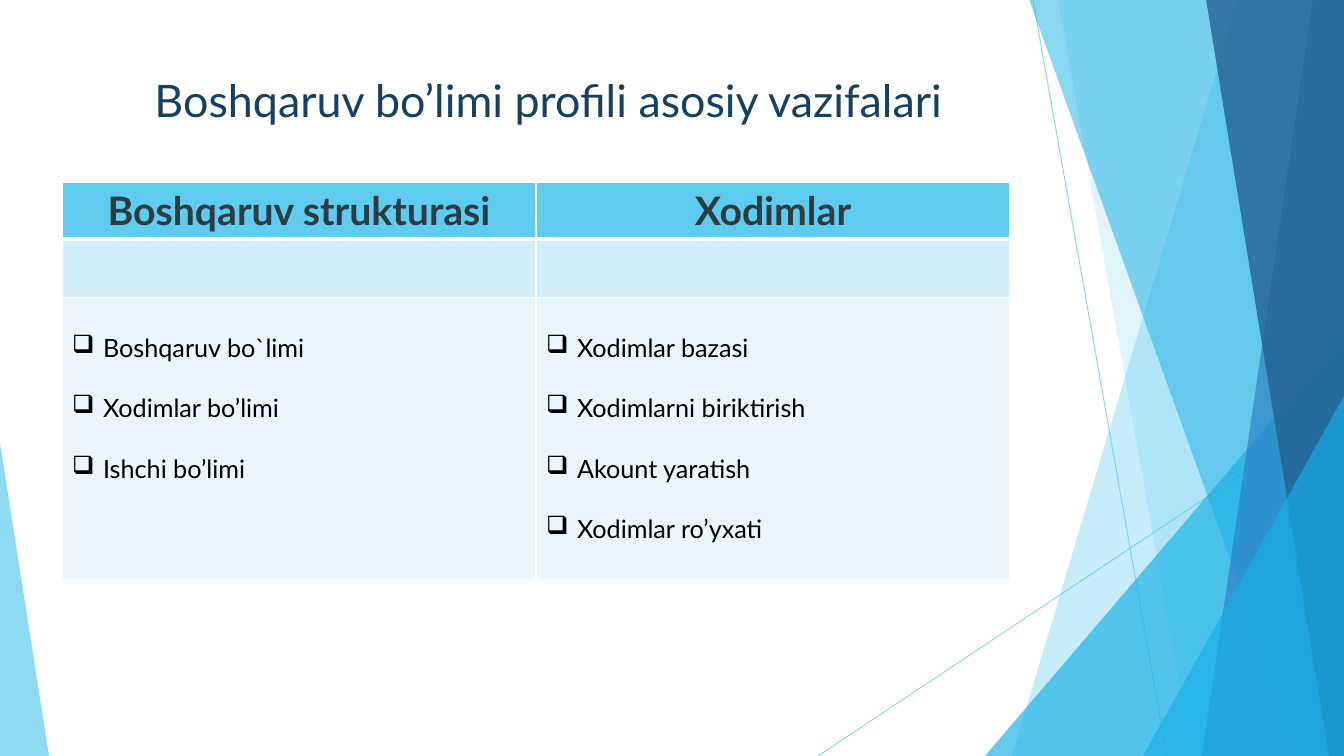
"""Build the slide on the main tasks of the management section."""
from lxml.etree import SubElement
from pptx import Presentation
from pptx.dml.color import RGBColor
from pptx.enum.shapes import MSO_CONNECTOR, MSO_SHAPE
from pptx.enum.text import PP_ALIGN
from pptx.oxml.ns import qn
from pptx.util import Pt

W, H = 1344, 756
PX = 12192000 / W


def px(n):
    return round(n * PX)


def paint(fill, color, alpha=100):
    fill.solid()
    fill.fore_color.rgb = RGBColor.from_string(color)
    if alpha < 100:
        clr = fill._xPr.find(qn("a:solidFill"))[0]
        SubElement(clr, qn("a:alpha"), val=str(alpha * 1000))


prs = Presentation()
prs.slide_width, prs.slide_height = px(W), px(H)
s = prs.slides.add_slide(prs.slide_layouts[6])

for x1, y1, x2, y2 in [(1033, 0, 1167, H), (W, 406, 818, H)]:
    line = s.shapes.add_connector(MSO_CONNECTOR.STRAIGHT, px(x1), px(y1), px(x2), px(y2))
    line.line.width = Pt(0.75)
    paint(line.line.fill, "5FCBEF", 70)
    SubElement(line._element.spPr, qn("a:effectLst"))

facets = [
    ("band", (1238, 1012), "5FCBEF", 36),
    ("band", (1058, 1192), "5FCBEF", 20),
    ("triangle", (985, 336, 359, 420, 1), "17B0E4", 66),
    ("band", (1029, 1301), "17B0E4", 50),
    ("band", (1313, 1202), "2E83C3", 70),
    ("band", (1206, 1329), "226292", 80),
    ("triangle", (1143, 396, 201, 360, 1), "17B0E4", 66),
    ("triangle", (0, 443, 49, 313, 0), "5FCBEF", 70),
]
for kind, place, color, alpha in facets:
    if kind == "band":
        top, bottom = place
        fb = s.shapes.build_freeform(top, -1, scale=PX)
        fb.add_line_segments([(W, -1), (W, H), (bottom, H)])
        sp = fb.convert_to_shape()
    else:
        *box, apex = place
        sp = s.shapes.add_shape(MSO_SHAPE.ISOSCELES_TRIANGLE, *map(px, box))
        sp.adjustments[0] = apex
    sp.shadow.inherit = False
    sp.line.fill.background()
    paint(sp.fill, color, alpha)

title = s.shapes.add_textbox(px(75), px(68), px(947), px(145))
tf = title.text_frame
tf.word_wrap = True
p = tf.paragraphs[0]
p.alignment = PP_ALIGN.CENTER
r = p.add_run()
r.text = "Boshqaruv bo’limi profili asosiy vazifalari"
for key, value in {"size": Pt(32), "name": "Lato"}.items():
    setattr(r.font, key, value)
paint(r.font.fill, "174162")

columns = [
    ("Boshqaruv strukturasi", ["Boshqaruv bo`limi", "Xodimlar bo’limi", "Ishchi bo’limi"]),
    ("Xodimlar", ["Xodimlar bazasi", "Xodimlarni biriktirish", "Akount yaratish", "Xodimlar ro’yxati"]),
]
rows = [
    (56, "5FCBEF", "2C3C43", {"size": Pt(28), "name": "Lato", "bold": True}),
    (58, "D2ECF9", "000000", {}),
    (282, "EAF6FC", "000000", {"size": Pt(18), "name": "Lato", "bold": False}),
]
heights = [row[0] for row in rows]
table = s.shapes.add_table(len(rows), len(columns), px(62), px(182), px(948), px(sum(heights))).table

for i, (height, fill, color, font) in enumerate(rows):
    table.rows[i].height = px(height)
    for j, (heading, tasks) in enumerate(columns):
        table.columns[j].width = px(474)
        cell = table.cell(i, j)
        tcPr = cell._tc.get_or_add_tcPr()
        for side in "LRTB":
            thick = (i, side) in [(0, "B"), (1, "T")]
            ln = SubElement(tcPr, qn(f"a:ln{side}"), w=str(Pt(3 if thick else 1)))
            SubElement(SubElement(ln, qn("a:solidFill")), qn("a:srgbClr"), val="FFFFFF")
        paint(cell.fill, fill)

        tf = cell.text_frame
        for n, text in enumerate([[heading], [], tasks][i]):
            p = tf.add_paragraph() if n else tf.paragraphs[0]
            r = p.add_run()
            r.text = text
            for key, value in font.items():
                setattr(r.font, key, value)
            paint(r.font.fill, color)
            if i == 0:
                p.alignment = PP_ALIGN.CENTER
            else:
                p.line_spacing = 2.0
                pPr = p._p.get_or_add_pPr()
                pPr.set("marL", str(px(31)))
                pPr.set("indent", str(px(-31)))
                SubElement(pPr, qn("a:buChar"), char="❑")

prs.save("out.pptx")
